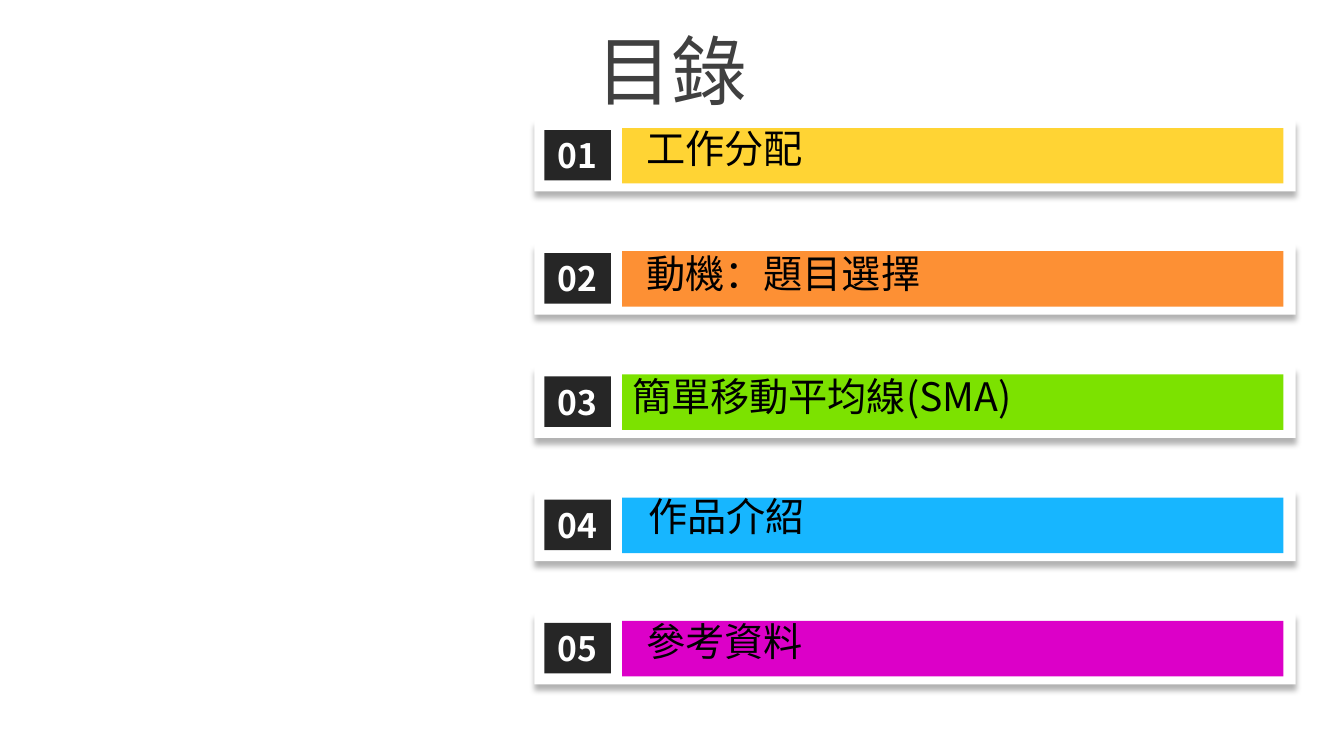
from dataclasses import dataclass

from lxml.etree import SubElement
from pptx import Presentation
from pptx.dml.color import RGBColor
from pptx.enum.shapes import MSO_SHAPE
from pptx.enum.text import MSO_ANCHOR, MSO_AUTO_SIZE, PP_ALIGN
from pptx.oxml.ns import qn
from pptx.shapes.autoshape import Shape
from pptx.shapes.group import GroupShape
from pptx.util import Inches, Pt

FONT = "Noto Sans CJK SC"
WHITE, BLACK = "FFFFFF", "000000"
FIRST_TOP, LAST_TOP = 1.19, 6.08


@dataclass(frozen=True)
class Area:
    left: float
    top: float
    width: float
    height: float


@dataclass(frozen=True)
class Entry:
    label: str
    colour: str
    label_left: float
    label_drop: float


# Parts of one row, measured from the top of its panel
PANEL = Area(5.3, 0, 7.55, 0.71)
BAR = Area(6.17, 0.08, 6.56, 0.55)
NUMBER_FRAME = Area(5.4, 0.08, 0.67, 0.55)
NUMBER = Area(5.4, 0.1, 0.66, 0.5)

ENTRIES = [
    Entry("工作分配", "FFD434", 6.31, 0.04),
    Entry("動機：題目選擇", "FD9034", 6.31, 0.06),
    Entry("簡單移動平均線(SMA)", "7CE200", 6.17, 0.06),
    Entry("作品介紹", "17B6FF", 6.33, 0.03),
    Entry("參考資料", "DC00C8", 6.31, 0.04),
]


def hex_colour(value: str) -> RGBColor:
    return RGBColor.from_string(value)


def write_text(box: Shape, text: str, *, size: float, colour: str,
               bold: bool = False, align: PP_ALIGN = PP_ALIGN.LEFT,
               anchor: MSO_ANCHOR = MSO_ANCHOR.MIDDLE) -> None:
    frame = box.text_frame
    frame.word_wrap = True
    frame.auto_size = MSO_AUTO_SIZE.NONE
    frame.vertical_anchor = anchor
    frame.margin_top = frame.margin_bottom = 0
    para = frame.paragraphs[0]
    para.alignment = align
    span = para.add_run()
    span.text = text
    span.font.size = Pt(size)
    span.font.bold = bold
    span.font.name = FONT
    span.font.color.rgb = hex_colour(colour)
    # East Asian glyphs take their own typeface entry
    SubElement(span.font._element, qn("a:ea"), typeface=FONT)


def add_block(group: GroupShape, area: Area, row_top: float, colour: str) -> Shape:
    box = group.shapes.add_shape(
        MSO_SHAPE.RECTANGLE, Inches(area.left), Inches(row_top + area.top),
        Inches(area.width), Inches(area.height))
    box.shadow.inherit = False
    box.fill.solid()
    box.fill.fore_color.rgb = hex_colour(colour)
    box.line.fill.background()
    return box


def add_drop_shadow(box: Shape) -> None:
    effects = box._element.spPr.find(qn("a:effectLst"))
    shadow = SubElement(effects, qn("a:outerShdw"), blurRad=str(Pt(4)),
                        dist=str(Pt(4)), dir="5400000", algn="t", rotWithShape="0")
    tint = SubElement(shadow, qn("a:srgbClr"), val=BLACK)
    SubElement(tint, qn("a:alpha"), val="30000")


def add_entry(group: GroupShape, entry: Entry, position: int, row_top: float) -> None:
    add_drop_shadow(add_block(group, PANEL, row_top, WHITE))
    add_block(group, BAR, row_top, entry.colour)
    add_block(group, NUMBER_FRAME, row_top, WHITE)
    number = add_block(group, NUMBER, row_top, "262626")
    write_text(number, f"{position:02d}", size=24, colour=WHITE, bold=True,
               align=PP_ALIGN.CENTER)
    label = group.shapes.add_textbox(
        Inches(entry.label_left), Inches(row_top + entry.label_drop),
        Inches(6.28), Inches(0.57))
    write_text(label, entry.label, size=28, colour=BLACK, anchor=MSO_ANCHOR.TOP)


def main() -> None:
    deck = Presentation()
    deck.slide_width, deck.slide_height = Inches(13.33), Inches(7.5)
    page = deck.slides.add_slide(deck.slide_layouts[5])

    # Title across the whole page
    title = page.shapes.title
    title.left, title.top = Inches(0), Inches(0.18)
    title.width, title.height = deck.slide_width, Inches(1.01)
    write_text(title, "目錄", size=54, colour="404040", align=PP_ALIGN.CENTER)

    # Evenly spaced contents rows
    pitch = (LAST_TOP - FIRST_TOP) / (len(ENTRIES) - 1)
    for index, entry in enumerate(ENTRIES):
        group = page.shapes.add_group_shape()
        add_entry(group, entry, index + 1, FIRST_TOP + index * pitch)

    deck.save("out.pptx")


if __name__ == "__main__":
    main()
